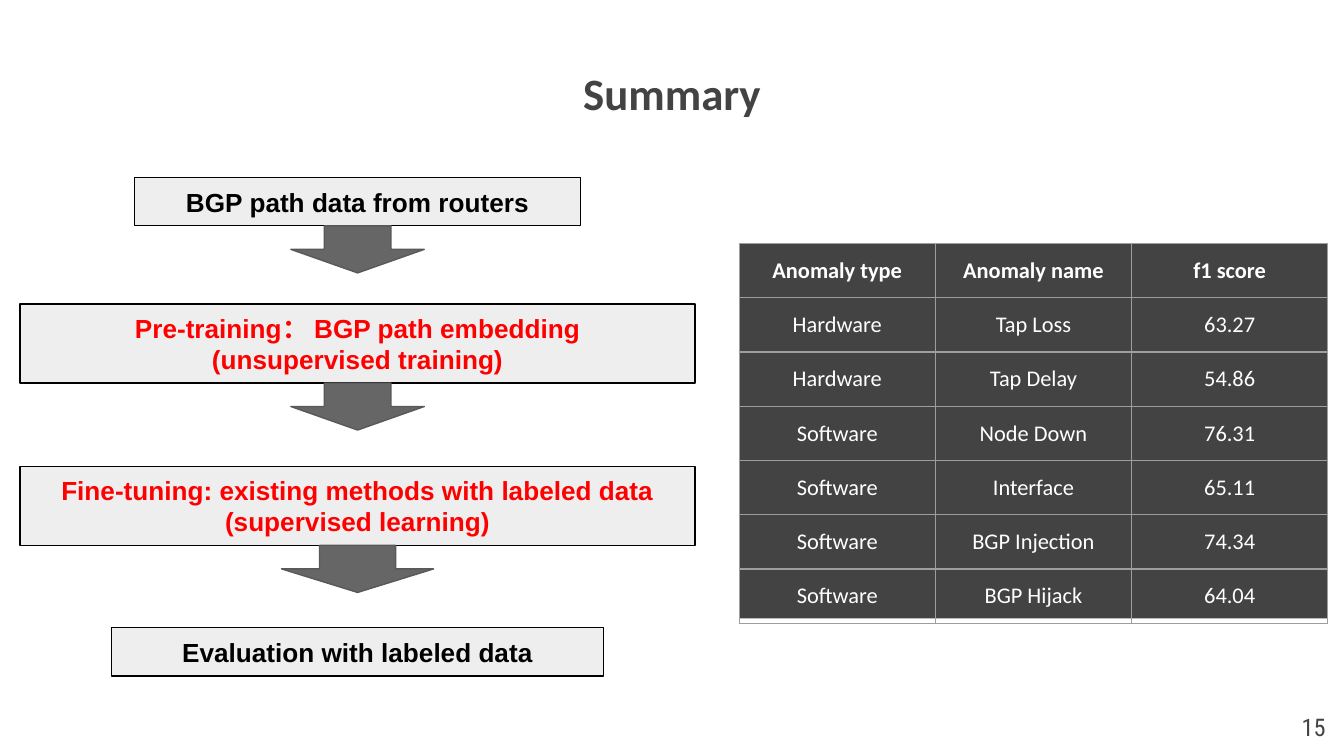
from lxml.etree import SubElement as Sub
from pptx import Presentation
from pptx.dml.color import RGBColor as RGB
from pptx.enum.shapes import MSO_SHAPE as Shape
from pptx.enum.text import MSO_ANCHOR as Anchor, PP_ALIGN as Align
from pptx.oxml.ns import qn
from pptx.util import Pt

HEX = {"dark": "434343", "white": "FFFFFF", "black": "000000", "red": "FF0000",
       "pale": "EEEEEE", "arrow": "666666", "edge": "595959", "grid": "9E9E9E"}
INSET = 7.2

# lines, text colour, top, width, height, width of the arrow below
STEPS = [
    (["BGP path data from routers"], "black", 95, 239, 26, 71.5),
    (["Pre-training： BGP path embedding", "(unsupervised training)"],
     "red", 162.8, 361.5, 42.4, 71.5),
    (["Fine-tuning: existing methods with labeled data",
      "(supervised learning)"], "red", 249.8, 361.5, 42.4, 81.5),
    (["Evaluation with labeled data"], "black", 336.2, 263.5, 26, None),
]
SCORES = [
    ("Anomaly type", "Anomaly name", "f1 score"),
    ("Hardware", "Tap Loss", "63.27"),
    ("Hardware", "Tap Delay", "54.86"),
    ("Software", "Node Down", "76.31"),
    ("Software", "Interface", "65.11"),
    ("Software", "BGP Injection", "74.34"),
    ("Software", "BGP Hijack", "64.04"),
]


def tint(name):
    return RGB.from_string(HEX[name])


def set_all(item, vals):
    for key, val in vals.items():
        setattr(item, key, val)


def write(frame, lines, font, color, align=Align.CENTER, anchor=Anchor.MIDDLE):
    """Fill a text frame with one paragraph per line, all in one font format."""
    sides = ("left", "top", "right", "bottom")
    set_all(frame, {f"margin_{side}": Pt(INSET) for side in sides})
    set_all(frame, {"word_wrap": True, "vertical_anchor": anchor})
    for i, line in enumerate(lines):
        para = frame.paragraphs[0] if i == 0 else frame.add_paragraph()
        para.alignment = align
        run = para.add_run()
        run.text = line
        set_all(run.font, font)
        run.font.color.rgb = tint(color)


def draw(slide, kind, box, fill, line=None):
    shape = slide.shapes.add_shape(kind, *map(Pt, box))
    shape.shadow.inherit = False
    shape.fill.solid()
    shape.fill.fore_color.rgb = tint(fill)
    if line:
        shape.line.color.rgb = tint(line)
        shape.line.width = Pt(0.75)
    else:
        shape.line.fill.background()
    return shape


def add_title(slide, box, text):
    title = slide.shapes.title
    set_all(title, dict(zip(("left", "top", "width", "height"), map(Pt, box))))
    font = {"name": "Calibri", "size": Pt(24), "bold": True}
    write(title.text_frame, [text], font, "dark", anchor=Anchor.TOP)


def add_flow(slide, box, steps):
    """Stack the steps on the centre line of the box, joined by block arrows."""
    left, top, width, _ = box
    mid = left + width / 2
    font = {"name": "Arial", "size": Pt(14), "bold": True}
    drop = 25.2
    for lines, color, y, wide, high, span in steps:
        y += top
        step = draw(slide, Shape.RECTANGLE, (mid - wide / 2, y, wide, high),
                    "pale", "black")
        write(step.text_frame, lines, font, color)
        if span:
            y += high + (drop - span) / 2
            arrow = draw(slide, Shape.RIGHT_ARROW,
                         (mid - drop / 2, y, drop, span), "arrow", "edge")
            arrow.rotation = 90


def add_edges(cell):
    props = cell._tc.get_or_add_tcPr()
    for i, side in enumerate(("lnL", "lnR", "lnT", "lnB")):
        edge = props.makeelement(qn(f"a:{side}"), {"w": str(Pt(0.75))})
        fill = Sub(edge, qn("a:solidFill"))
        Sub(fill, qn("a:srgbClr"), val=HEX["grid"])
        props.insert(i, edge)


def add_scores(slide, box, rows):
    """Lay a clear table over a dark panel that ends just above its last line."""
    left, top, width, high = box
    draw(slide, Shape.RECTANGLE, (left, top, width, high - 2.2), "dark")
    table = slide.shapes.add_table(len(rows), len(rows[0]), *map(Pt, box)).table
    set_all(table, {"first_row": False, "horz_banding": False})
    for col in table.columns:
        col.width = Pt(width / len(rows[0]))
    for r, row in enumerate(rows):
        table.rows[r].height = Pt(high / len(rows))
        font = {"name": "Calibri", "size": Pt(12), "bold": r == 0}
        for c, text in enumerate(row):
            cell = table.cell(r, c)
            write(cell.text_frame, [text], font, "white")
            set_all(cell, {f"margin_{side}": Pt(INSET)
                           for side in ("left", "top", "right", "bottom")})
            cell.fill.background()
            add_edges(cell)


def add_number(slide, box, text):
    note = slide.shapes.add_textbox(*map(Pt, box))
    font = {"name": "Roboto Condensed", "size": Pt(13)}
    write(note.text_frame, [text], font, "dark", Align.RIGHT)


def main():
    deck = Presentation()
    set_all(deck, {"slide_width": Pt(720), "slide_height": Pt(405)})
    slide = deck.slides.add_slide(deck.slide_layouts[5])
    add_title(slide, (154.8, 28, 410.4, 74.2), "Summary")
    add_flow(slide, (10.8, 0, 361.5, 405), STEPS)
    add_scores(slide, (396, 130.5, 315.4, 203), SCORES)
    add_number(slide, (674, 373.7, 43.2, 31), "15")
    deck.save("out.pptx")


if __name__ == "__main__":
    main()
